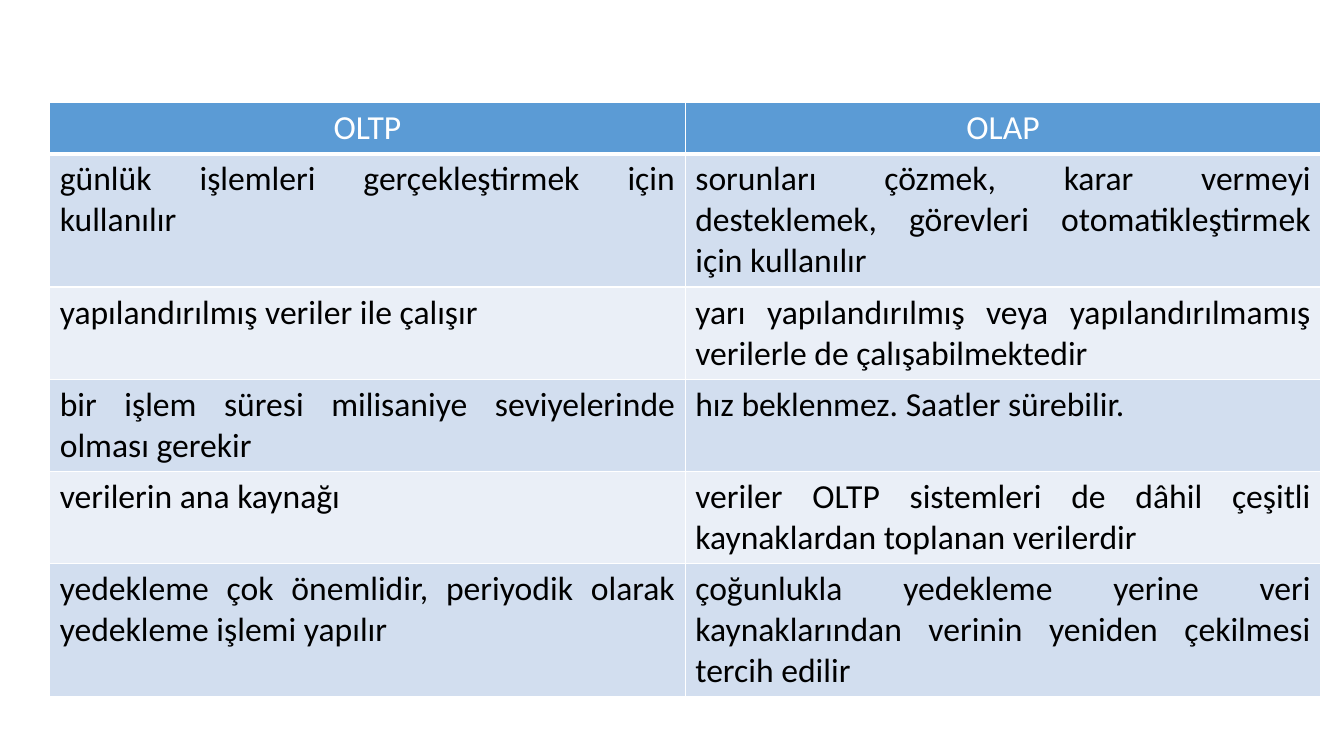
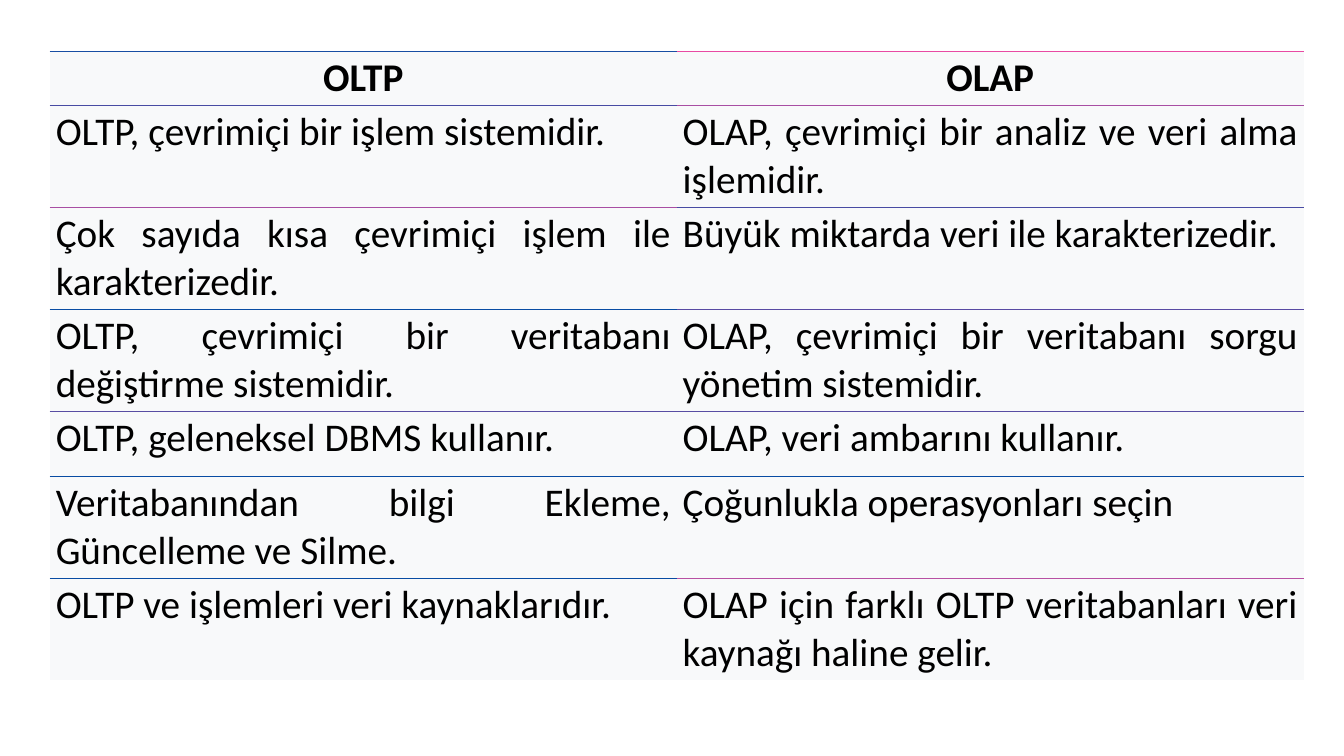
from lxml import etree
from pptx import Presentation
from pptx import util as u
from pptx.dml.color import RGBColor
from pptx.enum import text
from pptx.oxml.ns import qn

WHITE = RGBColor(0xFF, 0xFF, 0xFF)
BLACK = RGBColor(0x00, 0x00, 0x00)
BLUE = RGBColor(0x5B, 0x9B, 0xD5)
BAND_DARK = RGBColor(0xD2, 0xDE, 0xEF)
BAND_LIGHT = RGBColor(0xEA, 0xEF, 0xF7)
PALE = RGBColor(0xF8, 0xF9, 0xFA)
NAVY = RGBColor(0x18, 0x4E, 0xA3)
PINK = RGBColor(0xE8, 0x4A, 0xA3)
INDIGO = RGBColor(0x48, 0x4B, 0xA3)
PURPLE = RGBColor(0xA8, 0x4E, 0xA3)
COBALT = RGBColor(0x08, 0x4C, 0xA3)
VIOLET = RGBColor(0x58, 0x4A, 0xA3)
IRIS = RGBColor(0x58, 0x4D, 0xA3)
ORCHID = RGBColor(0xB8, 0x50, 0xA3)
FONT = "Calibri"
ALIGN = text.PP_ALIGN

prs = Presentation()
prs.slide_width = W = u.Inches(13.33)
prs.slide_height = H = u.Inches(7.5)
LEFT = round(W * 0.037)


def set_border(cell, side, color, width):
    pr = cell._tc.get_or_add_tcPr()
    ln = etree.Element(qn("a:" + side), w=str(u.Pt(width)))
    if color is None:
        etree.SubElement(ln, qn("a:noFill"))
    else:
        fill = etree.SubElement(ln, qn("a:solidFill"))
        etree.SubElement(fill, qn("a:srgbClr"), val=str(color))
    pr.insert(("lnL", "lnR", "lnT", "lnB").index(side), ln)


def add_comparison(top, col_share, row_shares, rows, size, head_color, bold, fills, rules, side_color, margins):
    s = prs.slides.add_slide(prs.slide_layouts[6])
    col_w = round(W * col_share / 100)
    heights = [round(H * share / 100) for share in row_shares]
    table = s.shapes.add_table(len(rows), 2, LEFT, round(H * top / 100), 2 * col_w, sum(heights)).table
    table.first_row = False
    table.horz_banding = False
    for col in table.columns:
        col.width = col_w
    for i, row in enumerate(rows):
        table.rows[i].height = heights[i]
        for j, words in enumerate(row):
            cell = table.cell(i, j)
            cell.margin_left = cell.margin_right = u.Inches(margins[0])
            cell.margin_top = cell.margin_bottom = u.Inches(margins[1])
            cell.fill.solid()
            cell.fill.fore_color.rgb = fills[i]
            p = cell.text_frame.paragraphs[0]
            p.alignment = ALIGN.JUSTIFY if i else ALIGN.CENTER
            r = p.add_run()
            r.text = words
            r.font.name = FONT
            r.font.size = u.Pt(size)
            r.font.bold = bold and i == 0
            r.font.color.rgb = BLACK if i else head_color
            (above, above_w), (below, below_w) = rules[i], rules[i + 1]
            set_border(cell, "lnL", side_color, 1)
            set_border(cell, "lnR", side_color, 1)
            set_border(cell, "lnT", above[j], above_w)
            set_border(cell, "lnB", below[j], below_w)


usage_rows = [
    ("OLTP", "OLAP"),
    ("günlük işlemleri gerçekleştirmek için kullanılır",
     "sorunları çözmek, karar vermeyi desteklemek, görevleri otomatikleştirmek için kullanılır"),
    ("yapılandırılmış veriler ile çalışır",
     "yarı yapılandırılmış veya yapılandırılmamış verilerle de çalışabilmektedir"),
    ("bir işlem süresi milisaniye seviyelerinde olması gerekir",
     "hız beklenmez. Saatler sürebilir."),
    ("verilerin ana kaynağı",
     "veriler OLTP sistemleri de dâhil çeşitli kaynaklardan toplanan verilerdir"),
    ("yedekleme çok önemlidir, periyodik olarak yedekleme işlemi yapılır",
     "çoğunlukla yedekleme yerine veri kaynaklarından verinin yeniden çekilmesi tercih edilir"),
]
usage_rules = [((WHITE, WHITE), 3 if i == 1 else 1) for i in range(7)]
add_comparison(13.6, 47.29, [6.77, 17.6, 12.18, 12.18, 12.18, 17.6], usage_rows, 24, WHITE, False,
               [BLUE] + [BAND_DARK, BAND_LIGHT] * 2 + [BAND_DARK], usage_rules, WHITE, (0.1, 0.05))

system_rows = [
    ("OLTP", "OLAP"),
    ("OLTP, çevrimiçi bir işlem sistemidir.",
     "OLAP, çevrimiçi bir analiz ve veri alma işlemidir."),
    ("Çok sayıda kısa çevrimiçi işlem ile karakterizedir.",
     "Büyük miktarda veri ile karakterizedir."),
    ("OLTP, çevrimiçi bir veritabanı değiştirme sistemidir.",
     "OLAP, çevrimiçi bir veritabanı sorgu yönetim sistemidir."),
    ("OLTP, geleneksel DBMS kullanır.", "OLAP, veri ambarını kullanır."),
    ("Veritabanından bilgi Ekleme, Güncelleme ve Silme.", "Çoğunlukla operasyonları seçin"),
    ("OLTP ve işlemleri veri kaynaklarıdır.",
     "OLAP için farklı OLTP veritabanları veri kaynağı haline gelir."),
]
rule_colors = [(NAVY, PINK), (INDIGO, PURPLE), (PURPLE, INDIGO), (COBALT, VIOLET),
               (IRIS, IRIS), (COBALT, COBALT), (COBALT, ORCHID), (None, None)]
add_comparison(6.8, 46.65, [7.11] + [13.43] * 3 + [8.67] + [13.43] * 2, system_rows, 28, BLACK, True,
               [PALE] * 7, [(pair, 0.38) for pair in rule_colors], None, (0.06, 0.03))

prs.save("out.pptx")
